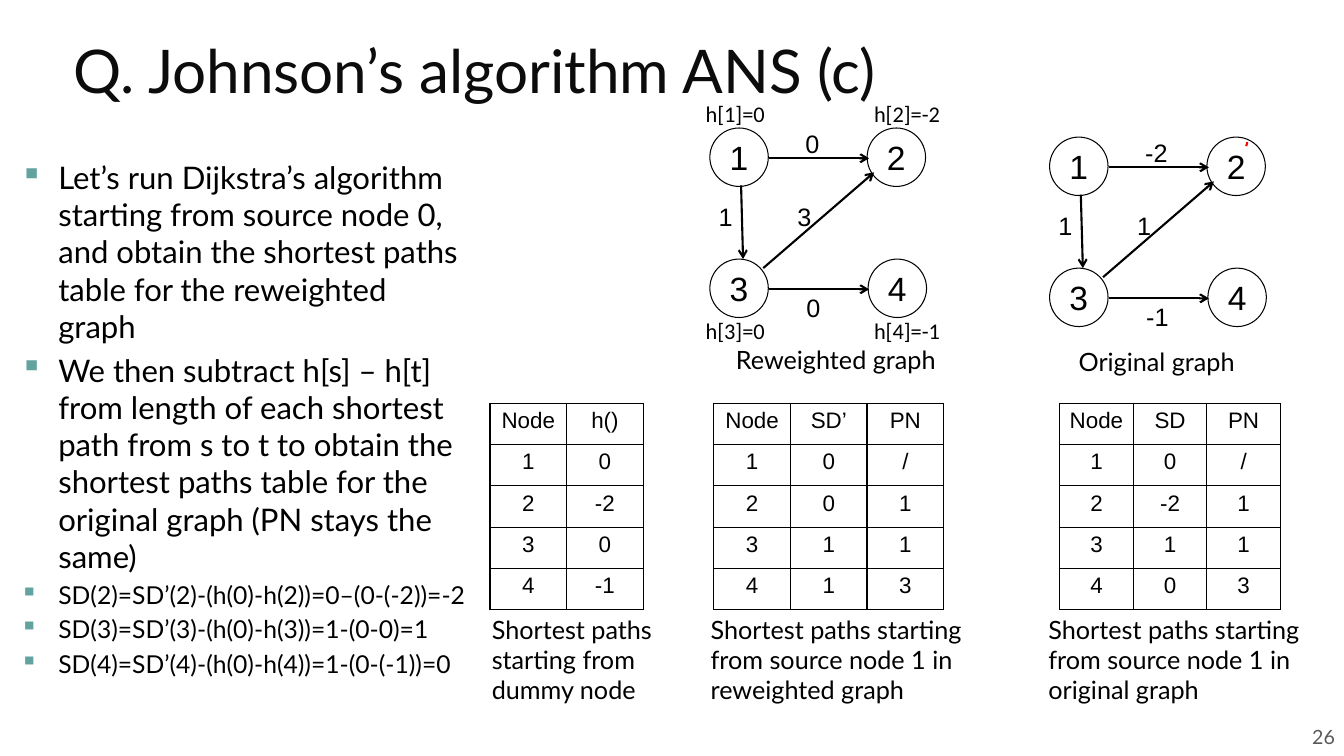
from dataclasses import dataclass

from lxml import etree
from pptx import Presentation
from pptx.dml.color import RGBColor
from pptx.enum.shapes import MSO_CONNECTOR, MSO_SHAPE
from pptx.enum.text import MSO_ANCHOR, MSO_AUTO_SIZE, PP_ALIGN
from pptx.oxml.ns import qn
from pptx.util import Inches, Pt

STRAIGHT = MSO_CONNECTOR.STRAIGHT
OVAL = MSO_SHAPE.OVAL
MIDDLE = MSO_ANCHOR.MIDDLE
FIXED = MSO_AUTO_SIZE.NONE
LEFT, CENTER, RIGHT = PP_ALIGN.LEFT, PP_ALIGN.CENTER, PP_ALIGN.RIGHT

COLORS = {
    "black": "000000", "white": "FFFFFF", "title": "0C0C0C",
    "bullet": "62A39F", "number": "595959", "mark": "FF0000",
}
ROW = 0.41
NODE = 0.58
NODES = [(0, 0), (1.56, 0), (0, 1.3), (1.57, 1.3)]
EDGES = [
    (0.59, 0.3, 1.58, 0.3),
    (0.31, 0.57, 0.33, 1.3),
    (0.53, 1.39, 1.63, 0.44),
    (0.59, 1.6, 1.58, 1.6),
]
WEIGHTS = [(0.85, -0.05), (-0.01, 0.68), (0.77, 0.68), (0.86, 1.58)]


@dataclass
class Graph:
    left: float
    top: float
    weights: list[str]


@dataclass
class Grid:
    left: float
    col: float
    rows: list[str]


@dataclass
class Label:
    text: str
    left: float
    top: float
    width: float
    height: float
    size: float = 18
    font: str = "Lato"
    wrap: bool = True


GRAPHS = [
    Graph(10.41, 1.36, ["-2", "1", "1", "-1"]),
    Graph(7.04, 1.27, ["0", "1", "3", "0"]),
]
GRIDS = [
    Grid(10.51, 0.73, ["Node SD PN", "1 0 /", "2 -2 1", "3 1 1", "4 0 3"]),
    Grid(7.08, 0.76, ["Node SD’ PN", "1 0 /", "2 0 1", "3 1 1", "4 1 3"]),
    Grid(4.86, 0.76, ["Node h()", "1 0", "2 -2", "3 0", "4 -1"]),
]
LABELS = [
    Label("Shortest paths starting from source node 1 in original graph", 10.3, 6.04, 2.8, 1.01),
    Label("Shortest paths starting from source node 1 in reweighted graph", 6.95, 6.04, 2.8, 1.01),
    Label("Shortest paths starting from dummy node", 4.78, 6.04, 1.86, 1.01),
    Label("Original graph", 10.6, 3.39, 1.86, 0.4),
    Label("Reweighted graph", 7.2, 3.37, 2.28, 0.4),
    Label("h[1]=0", 6.9, 0.94, 0.8, 0.37, 16, "Calibri", False),
    Label("h[2]=-2", 8.57, 0.94, 0.89, 0.37, 16, "Calibri", False),
    Label("h[3]=0", 6.9, 3.1, 0.82, 0.37, 16, "Calibri", False),
    Label("h[4]=-1", 8.57, 3.1, 0.89, 0.37, 16, "Calibri", False),
]
POINTS = [
    ("Let’s run Dijkstra’s algorithm starting from source node 0, and obtain "
     "the shortest paths table for the reweighted graph", 22.2),
    ("We then subtract h[s] – h[t] from length of each shortest path from s to t "
     "to obtain the shortest paths table for the original graph (PN stays the same)", 22.2),
    ("SD(2)=SD’(2)-(h(0)-h(2))=0–(0-(-2))=-2", 17.6),
    ("SD(3)=SD’(3)-(h(0)-h(3))=1-(0-0)=1", 17.6),
    ("SD(4)=SD’(4)-(h(0)-h(4))=1-(0-(-1))=0", 17.6),
]


def rgb(name: str) -> RGBColor:
    return RGBColor.from_string(COLORS[name])


def write(par, text: str, size: float, font: str = "Lato",
          color: str = "black", align=LEFT) -> None:
    par.alignment = align
    run = par.add_run()
    run.text = text
    run.font.size = Pt(size)
    run.font.name = font
    run.font.color.rgb = rgb(color)


def add_frame(slide, left: float, top: float, width: float, height: float, wrap: bool = True):
    box = slide.shapes.add_textbox(Inches(left), Inches(top), Inches(width), Inches(height))
    box.text_frame.word_wrap = wrap
    return box.text_frame


def add_label(slide, label: Label) -> None:
    frame = add_frame(slide, label.left, label.top, label.width, label.height, label.wrap)
    write(frame.paragraphs[0], label.text, label.size, label.font)


def add_node(slide, left: float, top: float, name: str) -> None:
    node = slide.shapes.add_shape(OVAL, Inches(left), Inches(top), Inches(NODE), Inches(NODE))
    node.shadow.inherit = False
    node.fill.solid()
    node.fill.fore_color.rgb = rgb("white")
    node.line.color.rgb = rgb("black")
    node.line.width = Pt(0.75)
    frame = node.text_frame
    frame.word_wrap = False
    frame.vertical_anchor = MIDDLE
    write(frame.paragraphs[0], name, 24, "Arial", align=CENTER)


def add_edge(slide, x1: float, y1: float, x2: float, y2: float) -> None:
    edge = slide.shapes.add_connector(STRAIGHT, Inches(x1), Inches(y1), Inches(x2), Inches(y2))
    edge.line.color.rgb = rgb("black")
    edge.line.width = Pt(1.5)
    etree.SubElement(edge.line._get_or_add_ln(), qn("a:tailEnd"), type="arrow")
    etree.SubElement(edge._element.spPr, qn("a:effectLst"))


def add_graph(slide, graph: Graph) -> None:
    x, y = graph.left, graph.top
    for num, (dx, dy) in enumerate(NODES, 1):
        add_node(slide, x + dx, y + dy, str(num))
    for x1, y1, x2, y2 in EDGES:
        add_edge(slide, x + x1, y + y1, x + x2, y + y2)
    for text, (dx, dy) in zip(graph.weights, WEIGHTS):
        add_label(slide, Label(text, x + dx, y + dy, 0.5, 0.4, font="Arial"))


def set_border(cell) -> None:
    props = cell._tc.get_or_add_tcPr()
    for side in ("lnL", "lnR", "lnT", "lnB"):
        line = etree.SubElement(props, qn(f"a:{side}"), w=str(Pt(1)))
        fill = etree.SubElement(line, qn("a:solidFill"))
        etree.SubElement(fill, qn("a:srgbClr"), val=COLORS["black"])


def add_grid(slide, grid: Grid) -> None:
    rows = [row.split() for row in grid.rows]
    count = len(rows[0])
    table = slide.shapes.add_table(
        len(rows), count, Inches(grid.left), Inches(4),
        Inches(grid.col * count), Inches(ROW * len(rows))).table
    table.first_row = table.horz_banding = False
    for r, row in enumerate(rows):
        table.rows[r].height = Inches(ROW)
        for c, text in enumerate(row):
            cell = table.cell(r, c)
            cell.margin_left = cell.margin_right = Inches(0.05)
            set_border(cell)
            cell.fill.background()
            write(cell.text_frame.paragraphs[0], text, 16, "Arial", align=CENTER)


def add_points(slide) -> None:
    frame = add_frame(slide, 0.1, 1.52, 4.65, 5.65)
    for i, (text, size) in enumerate(POINTS):
        par = frame.add_paragraph() if i else frame.paragraphs[0]
        write(par, text, size)
        par.space_before = Pt(size * 0.2)
        props = par._p.get_or_add_pPr()
        props.set("marL", str(Inches(0.38)))
        props.set("indent", str(-Inches(0.38)))
        color = etree.SubElement(props, qn("a:buClr"))
        etree.SubElement(color, qn("a:srgbClr"), val=COLORS["bullet"])
        etree.SubElement(props, qn("a:buChar"), char="▪")


def add_title(slide) -> None:
    title = slide.shapes.title
    title.left, title.top = Inches(0.63), Inches(0.12)
    title.width, title.height = Inches(12.23), Inches(1.27)
    frame = title.text_frame
    frame.auto_size = FIXED
    frame.vertical_anchor = MIDDLE
    par = frame.paragraphs[0]
    par.line_spacing = 0.8
    write(par, "Q. Johnson’s algorithm ANS (c)", 43, color="title")


def add_number(slide) -> None:
    frame = add_frame(slide, 12.71, 7.09, 0.63, 0.43)
    frame.vertical_anchor = MIDDLE
    write(frame.paragraphs[0], "26", 14, color="number", align=RIGHT)


def add_mark(slide) -> None:
    pen = slide.shapes.build_freeform(Inches(12.37), Inches(1.41))
    pen.add_line_segments([(Inches(12.37), Inches(1.42)), (Inches(12.36), Inches(1.45))], close=False)
    mark = pen.convert_to_shape()
    mark.shadow.inherit = False
    mark.fill.background()
    mark.line.color.rgb = rgb("mark")
    mark.line.width = Pt(1.5)


def main() -> None:
    deck = Presentation()
    deck.slide_width, deck.slide_height = Inches(13.33), Inches(7.5)
    slide = deck.slides.add_slide(deck.slide_layouts[5])
    add_title(slide)
    add_number(slide)
    for grid in GRIDS:
        add_grid(slide, grid)
    for graph in GRAPHS:
        add_graph(slide, graph)
    for label in LABELS:
        add_label(slide, label)
    add_points(slide)
    add_mark(slide)
    deck.save("out.pptx")


if __name__ == "__main__":
    main()
